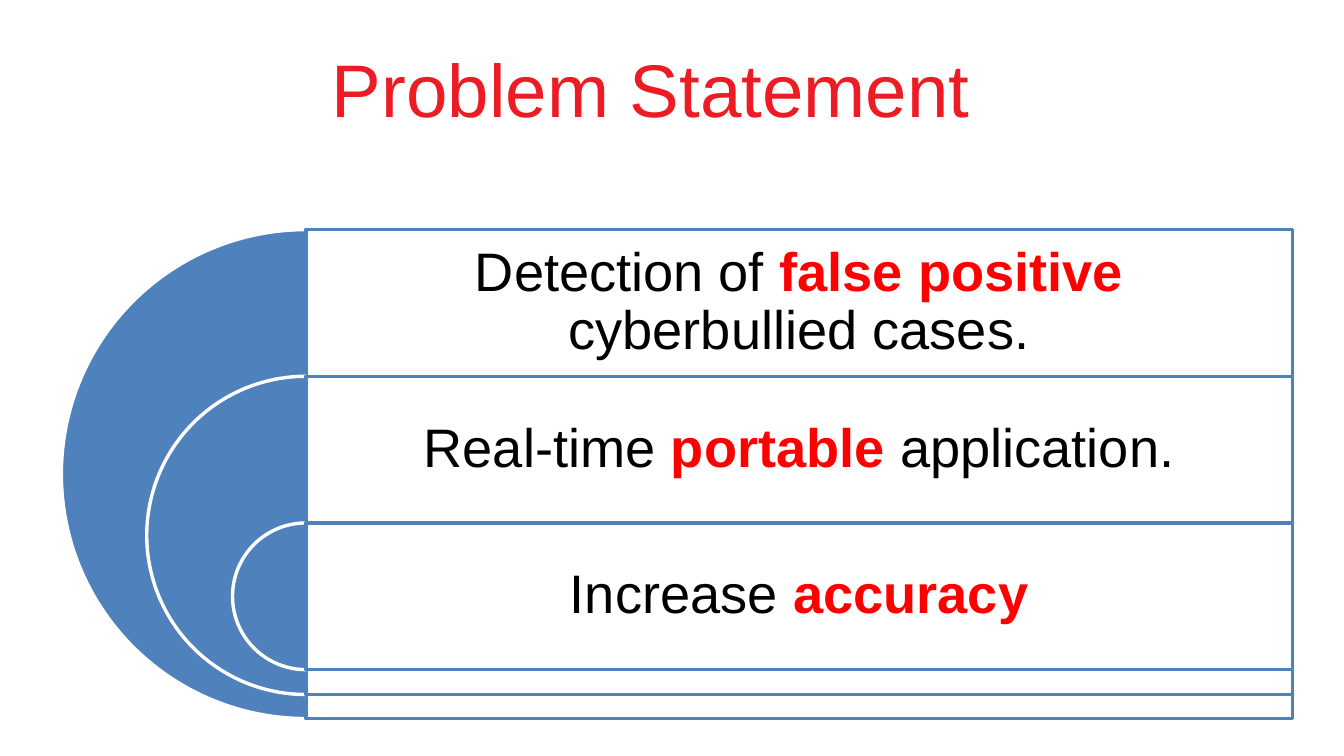
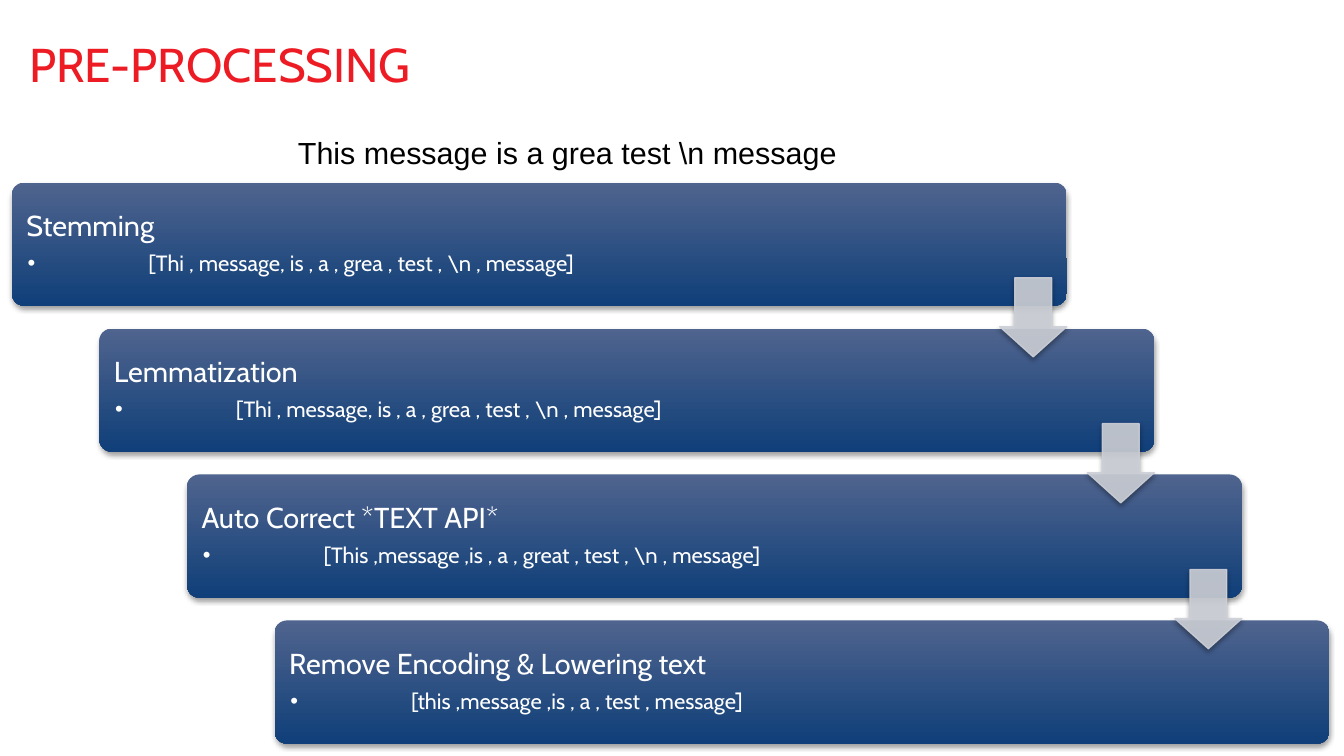
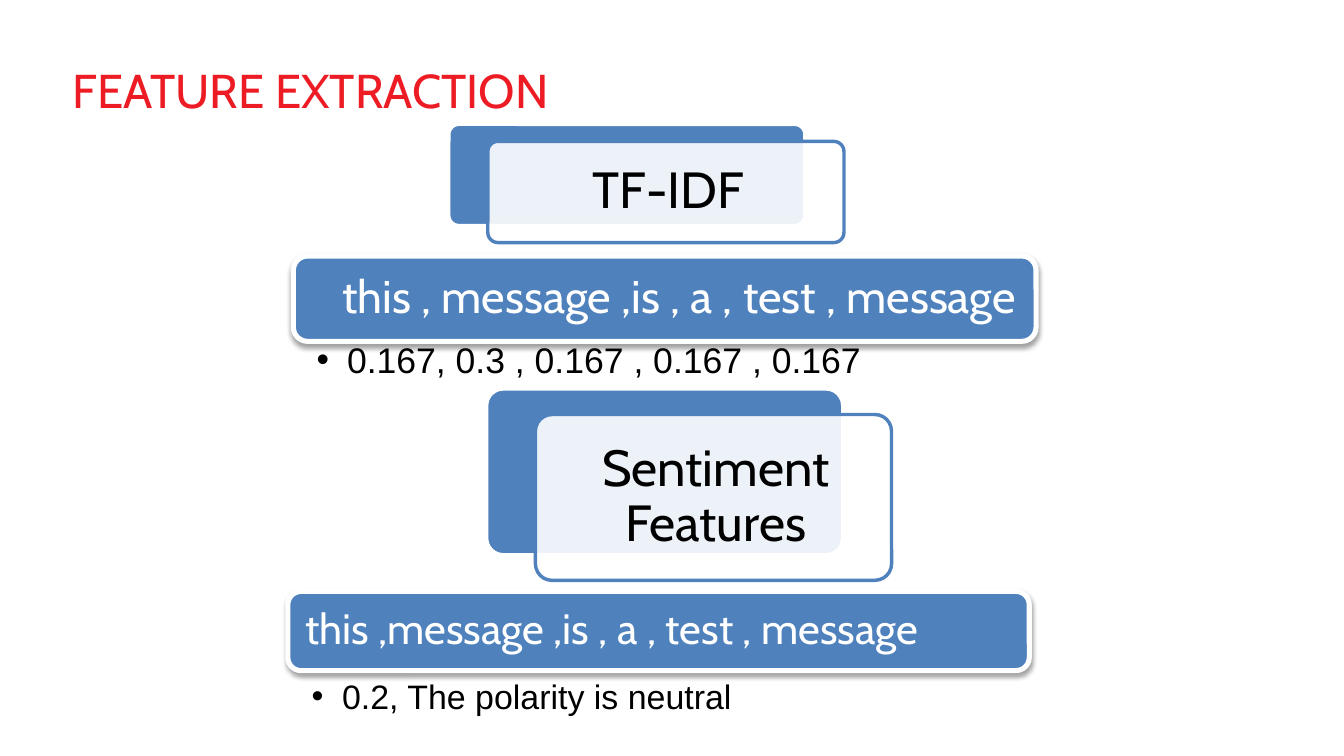
import dataclasses

import pptx
import pptx.dml.color
import pptx.enum.shapes
import pptx.enum.text
import pptx.oxml
import pptx.oxml.ns
import pptx.util

SHAPE = pptx.enum.shapes.MSO_SHAPE
ALIGN = pptx.enum.text.PP_ALIGN
ANCHOR = pptx.enum.text.MSO_ANCHOR

# The page is a square grid of 110.2 columns by 62 rows
CELL = pptx.util.Inches(0.1)
COLUMNS, ROWS = 110.2, 62
TITLE_ONLY, TWO_CONTENT = 5, 3


@dataclasses.dataclass(frozen=True)
class Theme:
    title: str = "ED1C24"
    strong: str = "FF0000"
    blue: str = "4F81BD"
    white: str = "FFFFFF"
    black: str = "000000"
    arrow: str = "CDD0D7"
    gradient: tuple = ("4F648E", "103F79")
    sans: str = "Arial"
    display: str = "Cabin"
    cover_size: int = 44
    title_size: int = 28
    statement_size: int = 32
    card_size: int = 30
    message_size: int = 18
    step_size: int = 17
    token_size: int = 13
    tight: float = 0.9
    opacity: int = 90


THEME = Theme()


def cells(count):
    return pptx.util.Emu(round(count * CELL))


def rgb(color):
    return pptx.dml.color.RGBColor.from_string(color)


def element(tag, attributes, content=""):
    return pptx.oxml.parse_xml(
        f'<a:{tag} {pptx.oxml.ns.nsdecls("a")} {attributes}>{content}</a:{tag}>')


# Text
def frame(box, insets, anchor=ANCHOR.MIDDLE):
    """Set the insets (left, top, right, bottom) and anchor of a box."""
    text = box.text_frame
    text.word_wrap = True
    text.auto_size = pptx.enum.text.MSO_AUTO_SIZE.NONE
    text.vertical_anchor = anchor
    (text.margin_left, text.margin_top,
     text.margin_right, text.margin_bottom) = map(cells, insets)


def write(box, text, size, font=THEME.display, color=THEME.black,
          align=ALIGN.LEFT, spacing=THEME.tight, after=0, margin=0, hang=0,
          strong=""):
    """Add a paragraph; `strong` is the part to stress, `hang` adds a bullet."""
    para = box.text_frame.paragraphs[0]
    if para.runs:
        para = box.text_frame.add_paragraph()
    para.alignment = align
    para.line_spacing = spacing
    para.space_before = pptx.util.Pt(0)
    para.space_after = pptx.util.Pt(after)
    properties = para._p.get_or_add_pPr()
    properties.set("marL", str(cells(margin)))
    properties.set("indent", str(cells(-hang)))
    if hang:
        properties.append(element("buFont", f'typeface="{THEME.sans}"'))
        properties.append(element("buChar", 'char="•"'))
    before, stress, rest = text.partition(strong) if strong else (text, "", "")
    for part in filter(None, (before, stress, rest)):
        stressed = part == stress
        span = para.add_run()
        span.text = part
        span.font.size = pptx.util.Pt(size)
        span.font.name = font
        span.font.bold = stressed
        span.font.color.rgb = rgb(THEME.strong if stressed else color)


# Shapes
def place(box, left, top, width, height):
    box.left, box.top, box.width, box.height = map(
        cells, (left, top, width, height))


def fade(fill_owner):
    """Make the solid colour inside an element partly transparent."""
    for color in fill_owner.iter(pptx.oxml.ns.qn("a:srgbClr")):
        color.append(element("alpha", f'val="{THEME.opacity * 1000}"'))


def cast_shadow(shape):
    effects = shape._element.spPr.find(pptx.oxml.ns.qn("a:effectLst"))
    effects.append(element(
        "outerShdw",
        'blurRad="39400" dist="22000" dir="5400000" rotWithShape="0"',
        f'<a:srgbClr val="{THEME.black}"><a:alpha val="36000"/></a:srgbClr>'))


def add_shape(page, kind, at, fill=None, line=None, weight=2,
              adjust=(), faded=False, shadow=False):
    """Fill is a colour, a pair of colours for a gradient, or None."""
    shape = page.shapes.add_shape(kind, *map(cells, at))
    shape.shadow.inherit = False
    for index, value in enumerate(adjust):
        shape.adjustments[index] = value
    if fill is None:
        shape.fill.background()
    elif isinstance(fill, tuple):
        shape.fill.gradient()
        shape.fill.gradient_angle = 270
        for stop, color in zip(shape.fill.gradient_stops, fill):
            stop.color.rgb = rgb(color)
    else:
        shape.fill.solid()
        shape.fill.fore_color.rgb = rgb(fill)
    if faded:
        fade(shape._element.spPr)
    if line is None:
        shape.line.fill.background()
    else:
        shape.line.color.rgb = rgb(line)
        shape.line.width = pptx.util.Pt(weight)
    if shadow:
        cast_shadow(shape)
    return shape


def add_page(deck, title, at, layout=TITLE_ONLY, insets=(1, 0.5, 1, 0.5),
             **text_format):
    page = deck.slides.add_slide(deck.slide_layouts[layout])
    box = page.shapes.title
    place(box, *at)
    frame(box, insets)
    write(box, title, **{"size": THEME.title_size, "color": THEME.title,
                         **text_format})
    return page


# Problem statement: half discs, each opening onto a framed row
def add_statement(page, index, size, text, strong):
    axis, row, side = 25.08, 12.03, 4
    top = 18.83 + index * row
    add_shape(page, SHAPE.PIE, (axis - size / 2, top, size, size),
              THEME.blue, THEME.white, adjust=(54, 162))
    panel = add_shape(page, SHAPE.RECTANGLE, (axis, top, 80.9, size),
                      line=THEME.blue)
    frame(panel, (side, 1.3, side, 1.3 + size - row))
    write(panel, text, THEME.statement_size, THEME.sans,
          align=ALIGN.CENTER, strong=strong)


def build_problem(deck):
    page = add_page(deck, "Problem Statement", (3.8, 2.07, 99.2, 10.3),
                    insets=(0, 0, 0, 0), size=THEME.cover_size,
                    font=THEME.sans, align=ALIGN.CENTER, spacing=1)
    statements = [
        (40.1, "Detection of false positive cyberbullied cases.",
         "false positive"),
        (26.1, "Real-time portable application.", "portable"),
        (12.03, "Increase accuracy", "accuracy"),
    ]
    for index, statement in enumerate(statements):
        add_statement(page, index, *statement)


# Pre-processing: a staircase of steps joined by arrows
def add_step(page, left, top, name, tokens):
    step = add_shape(page, SHAPE.ROUNDED_RECTANGLE, (left, top, 86.5, 10.1),
                     THEME.gradient, adjust=(0.1,), shadow=True)
    frame(step, (0.9, 0.9, 0.7, 0.9))
    write(step, name, THEME.step_size, color=THEME.white, after=6)
    write(step, tokens, THEME.token_size, color=THEME.white, after=2,
          margin=10, hang=9.9)


def build_preprocessing(deck):
    page = add_page(deck, "PRE-PROCESSING", (1.4, 1.63, 105, 7.7))
    message = page.shapes.add_textbox(*map(cells, (23.45, 10.5, 47.6, 3.8)))
    frame(message, (1, 0.5, 1, 0.5), ANCHOR.TOP)
    write(message, r"This message is a grea test \n message",
          THEME.message_size, THEME.sans, spacing=1)
    steps = [
        ("Stemming", r"[Thi , message, is , a , grea , test , \n , message]"),
        ("Lemmatization",
         r"[Thi , message, is , a , grea , test , \n , message]"),
        ("Auto Correct *TEXT API*",
         r"[This ,message ,is , a , great , test , \n , message]"),
        ("Remove Encoding & Lowering text",
         "[this ,message ,is , a , test , message]"),
    ]
    corners = [(0.97 + 7.18 * index, 14.97 + 11.97 * index)
               for index in range(len(steps))]
    for corner, step in zip(corners, steps):
        add_step(page, *corner, *step)
    for left, top in corners[:-1]:
        arrow = add_shape(page, SHAPE.DOWN_ARROW,
                          (left + 81, top + 7.8, 5.5, 6.5),
                          THEME.arrow, THEME.arrow, 0.75,
                          adjust=(0.55, 0.45), faded=True, shadow=True)
        fade(arrow.line._ln)


# Feature extraction: card, banner and resulting values
def add_card(page, left, top, height, shift, text):
    shift_x, shift_y = shift
    card_format = {"kind": SHAPE.ROUNDED_RECTANGLE, "adjust": (0.1,)}
    add_shape(page, at=(left, top, 29.2, height), fill=THEME.blue,
              line=THEME.white, **card_format)
    card = add_shape(page, at=(left + shift_x, top + shift_y, 29.2, height),
                     fill=THEME.white, line=THEME.blue, faded=True,
                     **card_format)
    frame(card, (1.6, 1.5, 1.2, 1.5))
    write(card, text, THEME.card_size, align=ALIGN.CENTER, after=10.5)


def add_banner(page, at, text, size, margin=0):
    banner = add_shape(page, SHAPE.ROUNDED_RECTANGLE, at, THEME.blue,
                       THEME.white, 3, shadow=True)
    frame(banner, (1.1, 1, 0.5, 1))
    write(banner, text, size, color=THEME.white, margin=margin)


def fill_values(body, at, text, size):
    place(body, *at)
    frame(body, (1.9, 0.4, 1.9, 0.4), ANCHOR.TOP)
    write(body, text, size, THEME.sans, margin=2.5, hang=2.5)


def build_features(deck):
    page = add_page(deck, "FEATURE EXTRACTION", (4.95, 1, 89.5, 13.3),
                    TWO_CONTENT)
    first_values, second_values = list(page.placeholders)[1:3]

    add_card(page, 36.8, 10.2, 8.3, (3.2, 1.4), "TF-IDF")
    add_banner(page, (24.05, 21, 60.9, 7),
               "this , message ,is , a , test , message", 27, margin=2.6)
    fill_values(first_values, (24.05, 27.7, 60.9, 4.1),
                "0.167, 0.3 , 0.167 , 0.167 , 0.167", 21)

    add_card(page, 39.9, 31.9, 13.6, (4, 2.1), "Sentiment Features")
    add_banner(page, (23.6, 48.5, 60.8, 6.5),
               "this ,message ,is , a , test , message", 25)
    fill_values(second_values, (23.65, 55.35, 60.8, 5.3),
                "0.2, The polarity is neutral", 20)


def main():
    deck = pptx.Presentation()
    deck.slide_width, deck.slide_height = cells(COLUMNS), cells(ROWS)
    build_problem(deck)
    build_preprocessing(deck)
    build_features(deck)
    deck.save("out.pptx")


if __name__ == "__main__":
    main()
